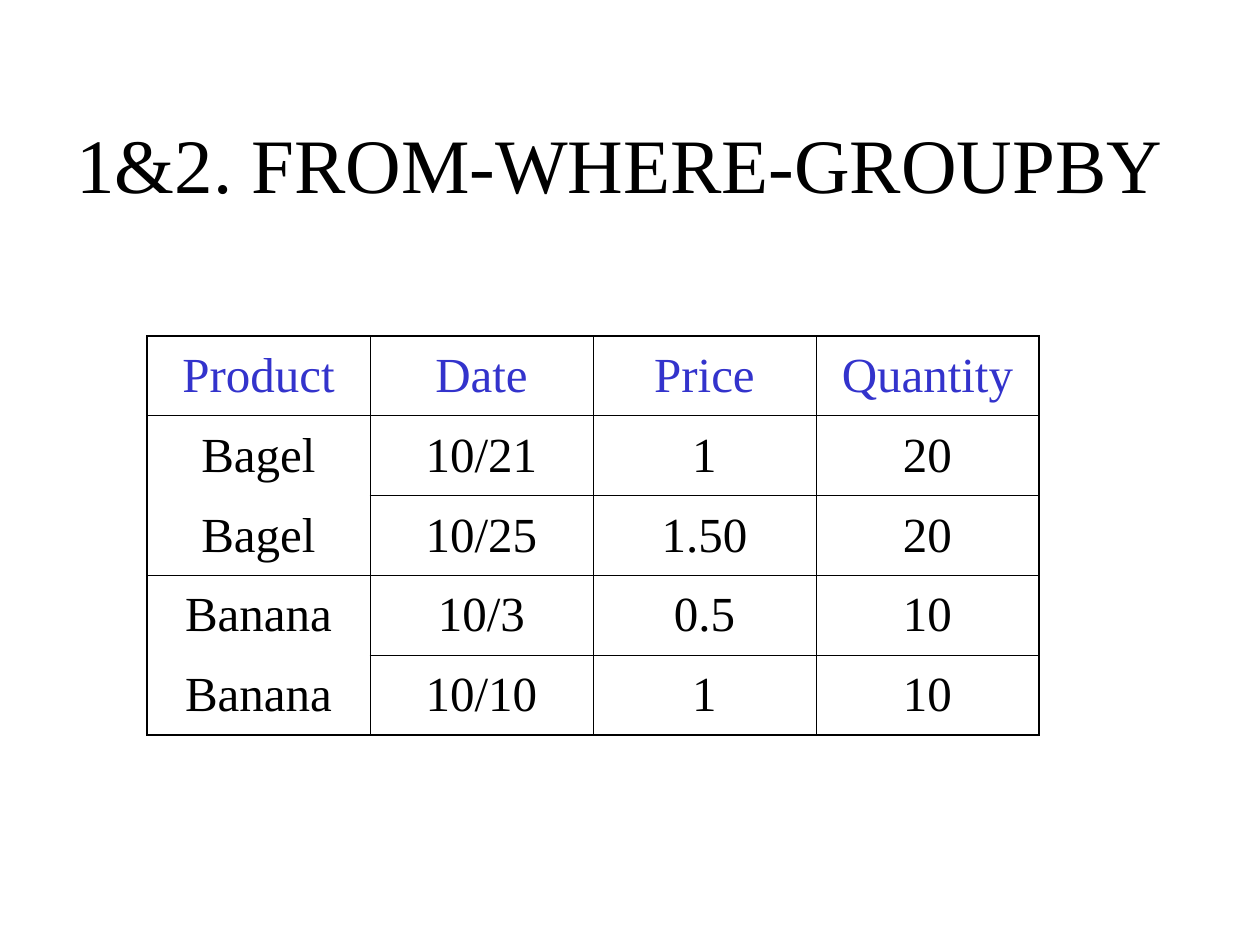
from lxml.etree import SubElement
from pptx import Presentation
from pptx.dml.color import RGBColor
from pptx.enum.text import MSO_ANCHOR, PP_ALIGN
from pptx.oxml.ns import qn
from pptx.util import Emu, Pt

PX_PER_INCH = 126
BLACK = RGBColor(0x00, 0x00, 0x00)
BLUE = RGBColor(0x33, 0x33, 0xCC)
FONT = "Times New Roman"
THIN, THICK = 0.45, 1.08

HEADERS = ["Product", "Date", "Price", "Quantity"]
GROUPS = [
    [["Bagel", "10/21", "1", "20"], ["Bagel", "10/25", "1.50", "20"]],
    [["Banana", "10/3", "0.5", "10"], ["Banana", "10/10", "1", "10"]],
]


def px(length):
    return Emu(round(length * 914400 / PX_PER_INCH))


def write(frame, text, size, color=BLACK, space_before=0):
    frame.word_wrap = True
    para = frame.paragraphs[0]
    para.alignment = PP_ALIGN.CENTER
    para.space_before = Pt(space_before)
    span = para.add_run()
    span.text = text
    span.font.size = Pt(size)
    span.font.name = FONT
    span.font.color.rgb = color


def set_borders(cell, left, right, top, bottom):
    """Draw each side with a width in points; None leaves the side open."""
    properties = cell._tc.get_or_add_tcPr()
    sides = {"a:lnL": left, "a:lnR": right, "a:lnT": top, "a:lnB": bottom}
    for index, (tag, width) in enumerate(sides.items()):
        line = SubElement(properties, qn(tag))
        properties.insert(index, line)
        if width is None:
            SubElement(line, qn("a:noFill"))
        else:
            line.set("w", str(Pt(width)))
            fill = SubElement(line, qn("a:solidFill"))
            SubElement(fill, qn("a:srgbClr"), val=str(BLACK))


def add_title(page, text, left, top, width, height):
    title = page.shapes.title
    title.left, title.top = px(left), px(top)
    title.width, title.height = px(width), px(height)
    title.text_frame.vertical_anchor = MSO_ANCHOR.MIDDLE
    write(title.text_frame, text, 44)


def add_grouped_table(page, headers, groups, left, top, width, height):
    """Table whose first column has no line between rows of one group."""
    rows = [headers] + [row for group in groups for row in group]
    last_row, last_column = len(rows) - 1, len(headers) - 1
    group_starts, start = set(), 1
    for group in groups:
        group_starts.add(start)
        start += len(group)

    table = page.shapes.add_table(
        len(rows), len(headers), px(left), px(top), px(width), px(height)
    ).table
    table.first_row = table.horz_banding = False

    def row_line(edge, column):
        """Width of the line above row number edge."""
        if edge in (0, len(rows)):
            return THICK
        return THIN if column > 0 or edge in group_starts else None

    for r, row in enumerate(rows):
        for c, text in enumerate(row):
            cell = table.cell(r, c)
            cell.vertical_anchor = MSO_ANCHOR.MIDDLE
            cell.fill.background()
            write(cell.text_frame, text, 28, BLUE if r == 0 else BLACK, space_before=7)
            set_borders(
                cell,
                left=THICK if c == 0 else THIN,
                right=THICK if c == last_column else THIN,
                top=row_line(r, c),
                bottom=row_line(r + 1, c),
            )


def main():
    deck = Presentation()
    deck.slide_width, deck.slide_height = px(1260), px(945)
    page = deck.slides.add_slide(deck.slide_layouts[5])
    add_title(page, "1&2. FROM-WHERE-GROUPBY", 53, 84, 1134, 158)
    add_grouped_table(page, HEADERS, GROUPS, 147, 336, 892, 399)
    deck.save("out.pptx")


if __name__ == "__main__":
    main()
